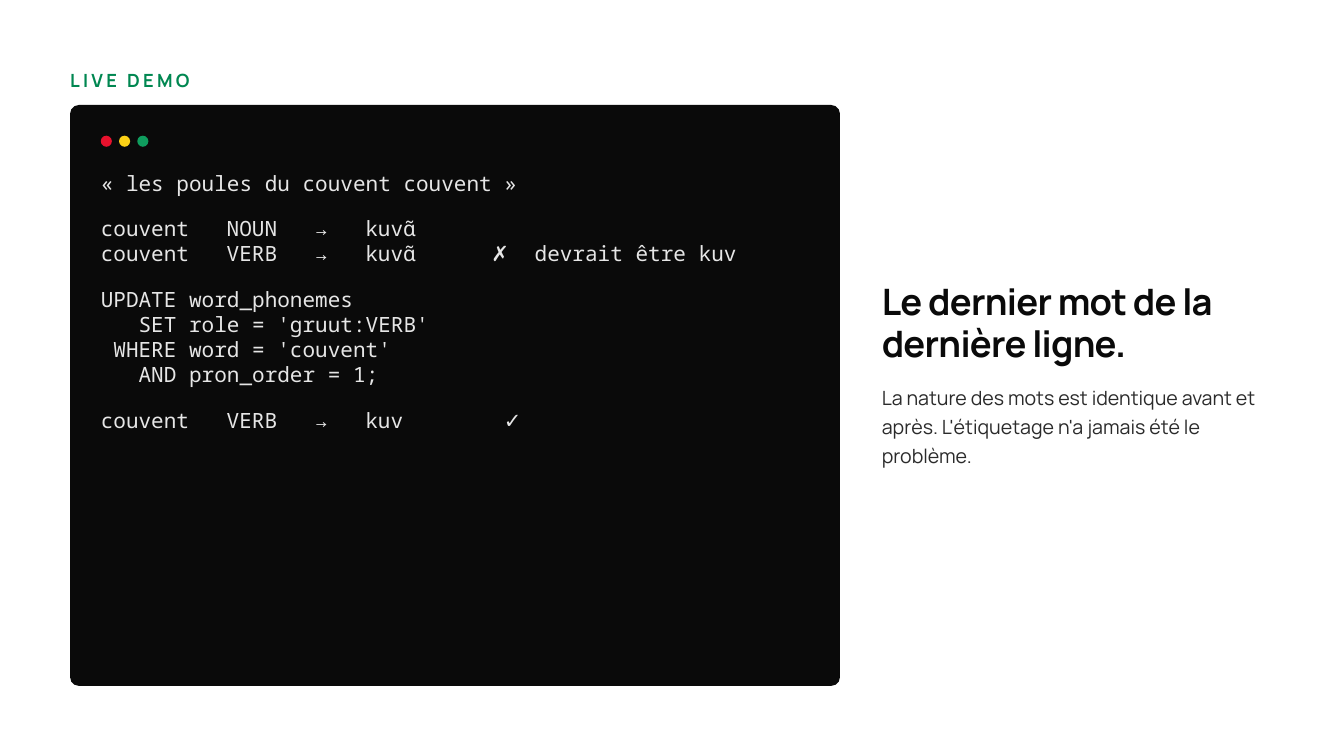
from dataclasses import dataclass

from lxml import etree
from pptx import Presentation
from pptx.dml.color import RGBColor
from pptx.enum import shapes, text
from pptx.oxml.ns import qn
from pptx.util import Cm, Pt

COLORS = {
    "paper": "FFFFFF",
    "ink": "0A0A0A",
    "body": "2B2B2B",
    "green": "008751",
    "code": "E6E6E6",
    "dot_red": "E8112D",
    "dot_yellow": "FCD116",
    "dot_green": "0F9D5E",
}
LEFT, PANEL_WIDTH = 2.65, 29.1
CODE_LEFT = 3.81
SIDE_LEFT, SIDE_WIDTH = 33.33, 14.8
# Columns of the tagging output, in cm from the left edge of the code
WORD_TABS = (4.76, 8.1, 10.0)
WRONG_TABS = WORD_TABS + (14.76, 16.4)
RIGHT_TABS = WORD_TABS + (15.24,)


@dataclass(frozen=True)
class Style:
    font: str
    size: float
    color: str
    leading: float
    bold: bool = False
    tracking: float = 0


@dataclass(frozen=True)
class CodeLine:
    text: str
    tabs: tuple[float, ...] = ()
    starts_block: bool = False


KICKER = Style("Manrope", 19.5, "green", 27.3, True, 3.5)
TITLE = Style("Manrope", 39, "ink", 44.8, True, -0.8)
BODY = Style("Manrope", 21, "body", 31.5)
CODE_FIRST = Style("Noto Sans Mono", 22.5, "code", 36)
CODE = Style("Noto Sans Mono", 22.5, "code", 27)
BLOCK_GAP = 21.6

QUOTE = "« les poules du couvent couvent »"
CODE_LINES = [
    CodeLine("couvent\tNOUN\t→\tkuvɑ̃", WORD_TABS, True),
    CodeLine("couvent\tVERB\t→\tkuvɑ̃\t✗\tdevrait être kuv", WRONG_TABS),
    CodeLine("UPDATE word_phonemes", starts_block=True),
    CodeLine("   SET role = 'gruut:VERB'"),
    CodeLine(" WHERE word = 'couvent'"),
    CodeLine("   AND pron_order = 1;"),
    CodeLine("couvent\tVERB\t→\tkuv\t✓", RIGHT_TABS, True),
]


def rgb(name: str) -> RGBColor:
    return RGBColor.from_string(COLORS[name])


def place(sp, left: float, top: float, width: float, height: float) -> None:
    sp.left, sp.top, sp.width, sp.height = map(Cm, (left, top, width, height))


def prepare_frame(tf) -> None:
    tf.word_wrap = True
    tf.auto_size = text.MSO_AUTO_SIZE.NONE
    tf.vertical_anchor = text.MSO_ANCHOR.TOP
    tf.margin_left = tf.margin_top = tf.margin_right = tf.margin_bottom = 0


def write(p, content: str, style: Style) -> None:
    p.text = content
    p.alignment = text.PP_ALIGN.LEFT
    p.line_spacing = Pt(style.leading)
    p.space_before = p.space_after = Pt(0)
    for r in p.runs:
        r.font.name = style.font
        r.font.size = Pt(style.size)
        r.font.bold = style.bold
        r.font.color.rgb = rgb(style.color)
        if style.tracking:
            r.font._element.set("spc", str(round(style.tracking * 100)))


def add_text(slide, box: tuple[float, ...], content: str, style: Style):
    tf = slide.shapes.add_textbox(*map(Cm, box)).text_frame
    prepare_frame(tf)
    write(tf.paragraphs[0], content, style)
    return tf


def add_tabs(p, stops: tuple[float, ...]) -> None:
    tabs = etree.SubElement(p._p.get_or_add_pPr(), qn("a:tabLst"))
    for stop in stops:
        etree.SubElement(tabs, qn("a:tab"), pos=str(Cm(stop)), algn="l")


def add_filled(slide, kind, box: tuple[float, ...], color: str):
    sp = slide.shapes.add_shape(kind, *map(Cm, box))
    sp.shadow.inherit = False
    sp.fill.solid()
    sp.fill.fore_color.rgb = rgb(color)
    sp.line.fill.background()
    return sp


def add_terminal(slide) -> None:
    panel = add_filled(slide, shapes.MSO_SHAPE.ROUNDED_RECTANGLE,
                       (LEFT, 3.97, PANEL_WIDTH, 21.96), "ink")
    panel.adjustments[0] = 0.015
    for i, color in enumerate(("dot_red", "dot_yellow", "dot_green")):
        add_filled(slide, shapes.MSO_SHAPE.OVAL,
                   (CODE_LEFT + i * 0.69, 5.13, 0.42, 0.42), color)
    tf = add_text(slide, (CODE_LEFT, 6.12, 26.77, 10.3), QUOTE, CODE_FIRST)
    for line in CODE_LINES:
        p = tf.add_paragraph()
        if line.tabs:
            add_tabs(p, line.tabs)
        write(p, line.text, CODE)
        if line.starts_block:
            p.space_before = Pt(BLOCK_GAP)


def main() -> None:
    prs = Presentation()
    prs.slide_width, prs.slide_height = Cm(50.8), Cm(28.58)
    slide = prs.slides.add_slide(prs.slide_layouts[5])
    slide.background.fill.solid()
    slide.background.fill.fore_color.rgb = rgb("paper")

    title = slide.shapes.title
    place(title, SIDE_LEFT, 10.62, SIDE_WIDTH, 3.23)
    prepare_frame(title.text_frame)
    write(title.text_frame.paragraphs[0],
          "Le dernier mot de la dernière ligne.", TITLE)

    add_text(slide, (LEFT, 2.49, PANEL_WIDTH, 0.84), "LIVE DEMO", KICKER)
    add_text(slide, (SIDE_LEFT, 14.35, SIDE_WIDTH, 3.56),
             "La nature des mots est identique avant et après. "
             "L'étiquetage n'a jamais été le problème.", BODY)
    add_terminal(slide)
    prs.save("out.pptx")


if __name__ == "__main__":
    main()
